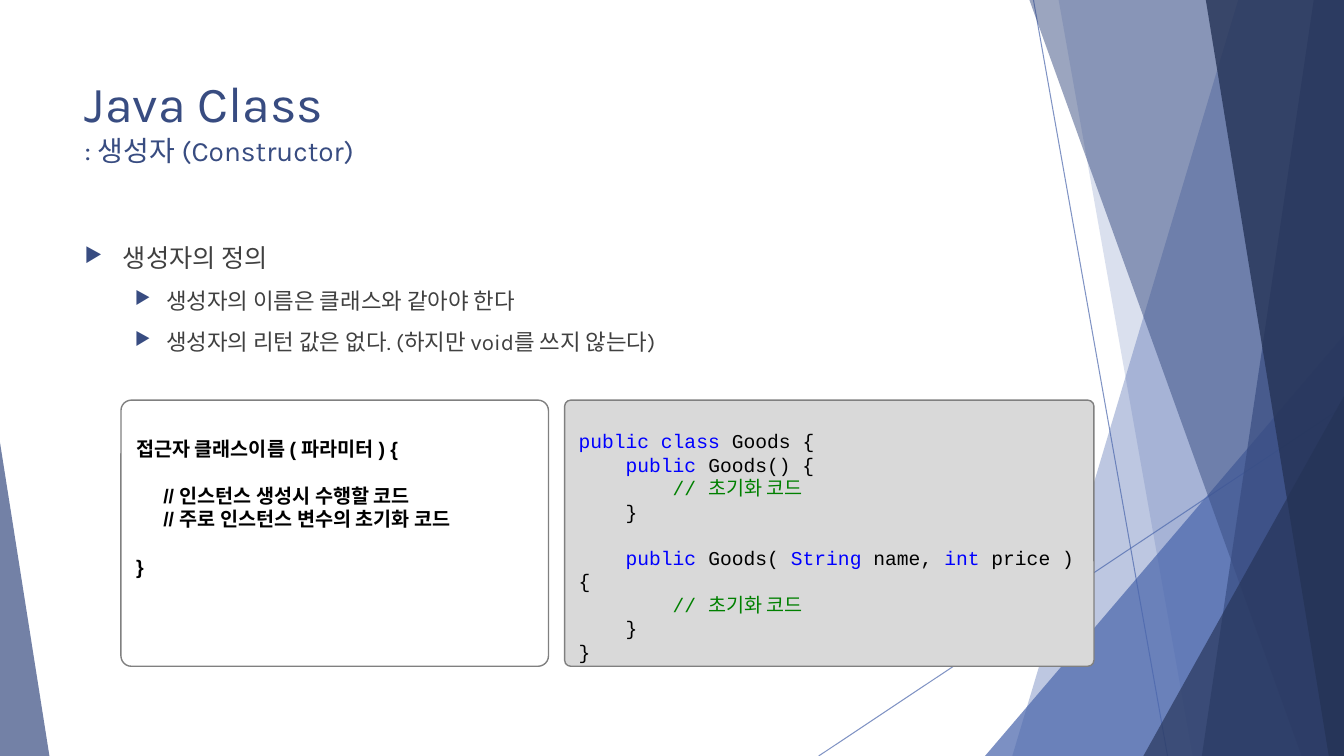
"""Build the Java constructor slide: faceted backdrop, bullets and two code panels."""
from lxml import etree
from pptx import Presentation, util as u
from pptx.dml.color import RGBColor
from pptx.enum import shapes as sh, text as t
from pptx.oxml.ns import qn

HUE = {"blue": "4A66AC", "navy": "384C81", "dark": "253356", "text": "404040",
       "black": "000000", "key": "0000FF", "note": "008000", "edge": "808080",
       "gray": "D9D9D9"}
WIDE, HIGH = 13.33, 7.5


def write(para, words, size, font="Karla", hue="text", bold=False):
    run = para.add_run()
    run.text = words
    run.font.size, run.font.name, run.font.bold = u.Pt(size), font, bold
    run.font.color.rgb = RGBColor.from_string(HUE[hue])


def tint(shape, part, hue, alpha):
    part.rgb = RGBColor.from_string(HUE[hue])
    for node in shape._element.spPr.iter(qn("a:srgbClr")):
        etree.SubElement(node, qn("a:alpha"), val=str(alpha * 1000))


deck = Presentation()
deck.slide_width, deck.slide_height = u.Inches(WIDE), u.Inches(HIGH)
slide = deck.slides.add_slide(deck.slide_layouts[5])
pool = slide.shapes

for ends in [(10.25, 0, 11.58, HIGH), (WIDE, 4.03, 8.12, HIGH)]:
    line = pool.add_connector(sh.MSO_CONNECTOR.STRAIGHT, *map(u.Inches, ends))
    line.line.width = u.Pt(0.75)
    tint(line, line.line.color, "blue", 70)
    etree.SubElement(line._element.spPr, qn("a:effectLst"))

facets = [
    ("band", (12.28, 10.04), "blue", 36),
    ("band", (10.5, 11.83), "blue", 20),
    ("peak", (9.77, 3.33, 3.56, 1), "blue", 72),
    ("band", (10.21, 12.91), "navy", 50),
    ("band", (13.03, 11.92), "navy", 70),
    ("band", (11.96, 13.18), "dark", 80),
    ("peak", (11.34, 3.93, 1.99, 1), "dark", 66),
    ("peak", (0, 4.39, 0.49, 0), "navy", 70),
]
for kind, size, hue, alpha in facets:
    if kind == "band":
        top, foot = size
        pen = pool.build_freeform(u.Inches(top), 0)
        pen.add_line_segments([(u.Inches(x), u.Inches(y)) for x, y in
                               [(WIDE, 0), (WIDE, HIGH), (foot, HIGH)]], close=True)
        facet = pen.convert_to_shape()
    else:
        x, y, w, tip = size
        facet = pool.add_shape(sh.MSO_SHAPE.ISOSCELES_TRIANGLE,
                               *map(u.Inches, (x, y, w, HIGH - y)))
        facet.adjustments[0] = tip
    facet.shadow.inherit = False
    facet.line.fill.background()
    facet.fill.solid()
    tint(facet, facet.fill.fore_color, hue, alpha)

left, span = 0.74, 9.4
title = pool.title
title.left, title.top, title.width, title.height = map(u.Inches, (left, 0.67, span, 1.44))
frame = title.text_frame
frame.auto_size, frame.vertical_anchor = t.MSO_AUTO_SIZE.NONE, t.MSO_ANCHOR.TOP
head = frame.paragraphs[0]
head.alignment = t.PP_ALIGN.LEFT
write(head, "Java Class", 36, hue="navy")
head.add_line_break()
write(head, ": 생성자 (Constructor)", 20, hue="navy")

frame = pool.add_textbox(*map(u.Inches, (left, 2.36, span, 1.4))).text_frame
frame.word_wrap = True
points = [(0, "생성자의 정의"), (1, "생성자의 이름은 클래스와 같아야 한다"),
          (1, "생성자의 리턴 값은 없다. (하지만 void를 쓰지 않는다)")]
for row, (level, words) in enumerate(points):
    para = frame.add_paragraph() if row else frame.paragraphs[0]
    para.level = level
    props = para._p.get_or_add_pPr()
    props.set("marL", str(u.Inches((0.38, 0.81)[level])))
    props.set("indent", str(u.Inches((-0.38, -0.31)[level])))
    color = etree.SubElement(props, qn("a:buClr"))
    etree.SubElement(color, qn("a:srgbClr"), val=HUE["navy"])
    etree.SubElement(props, qn("a:buSzPct"), val="80000")
    etree.SubElement(props, qn("a:buChar"), char="▶")
    if row:
        para.space_before = u.Pt(10)
    write(para, words, 18 - 2 * level)

form = [(0, [("접근자 클래스이름 ( 파라미터 ) {", "black")]),
        (17, [("     // 인스턴스 생성시 수행할 코드", "black")]),
        (0, [("     // 주로 인스턴스 변수의 초기화 코드", "black")]),
        (17, [("}", "black")])]
note = (0, [("        // 초기화 코드", "note")])
shut = (0, [("    }", "black")])
code = [(0, [("public class", "key"), (" Goods {", "black")]),
        (0, [("    public", "key"), (" Goods() {", "black")]),
        note, shut,
        (16, [("    public", "key"), (" Goods( ", "black"), ("String", "key"),
              (" name, ", "black"), ("int", "key"), (" price ) {", "black")]),
        note, shut, (0, [("}", "black")])]
panels = [(1.2, 4.24, 0.039, None, 0.33, "Arial", True, t.PP_ALIGN.JUSTIFY, form),
          (5.6, 5.25, 0.023, "gray", 0.27, "Courier New", False, t.PP_ALIGN.LEFT, code)]
for x, w, curve, hue, inset, font, bold, align, lines in panels:
    panel = pool.add_shape(sh.MSO_SHAPE.ROUNDED_RECTANGLE, *map(u.Inches, (x, 3.97, w, 2.64)))
    panel.adjustments[0] = curve
    panel.shadow.inherit = False
    panel.line.width = u.Pt(1)
    panel.line.color.rgb = RGBColor.from_string(HUE["edge"])
    if hue:
        panel.fill.solid()
        panel.fill.fore_color.rgb = RGBColor.from_string(HUE[hue])
    else:
        panel.fill.background()
    frame = panel.text_frame
    frame.word_wrap, frame.vertical_anchor = True, t.MSO_ANCHOR.TOP
    frame.margin_left = frame.margin_right = u.Inches(0.12)
    frame.margin_top, frame.margin_bottom = u.Inches(inset), 0
    for row, (gap, runs) in enumerate(lines):
        para = frame.add_paragraph() if row else frame.paragraphs[0]
        para.alignment = align
        if gap:
            para.space_before = u.Pt(gap)
        for words, ink in runs:
            write(para, words, 14, font, ink, bold)

deck.save("out.pptx")
